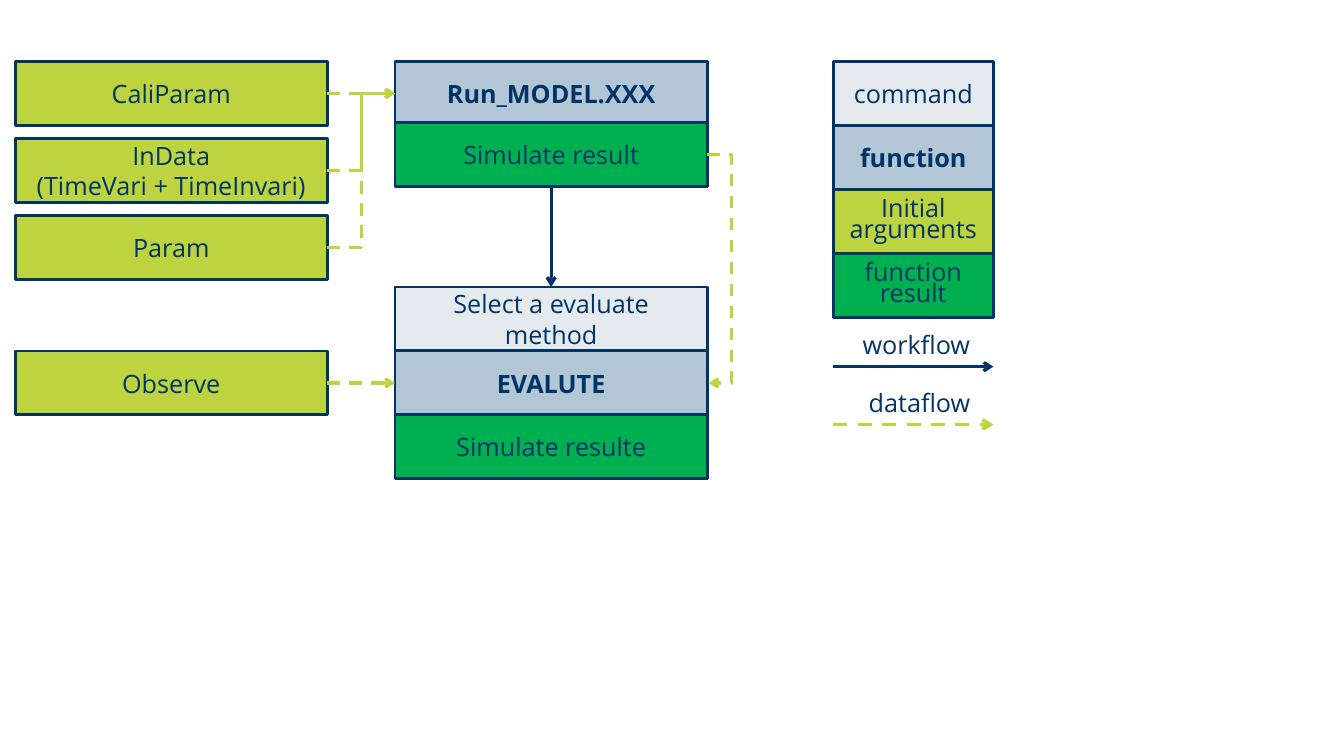
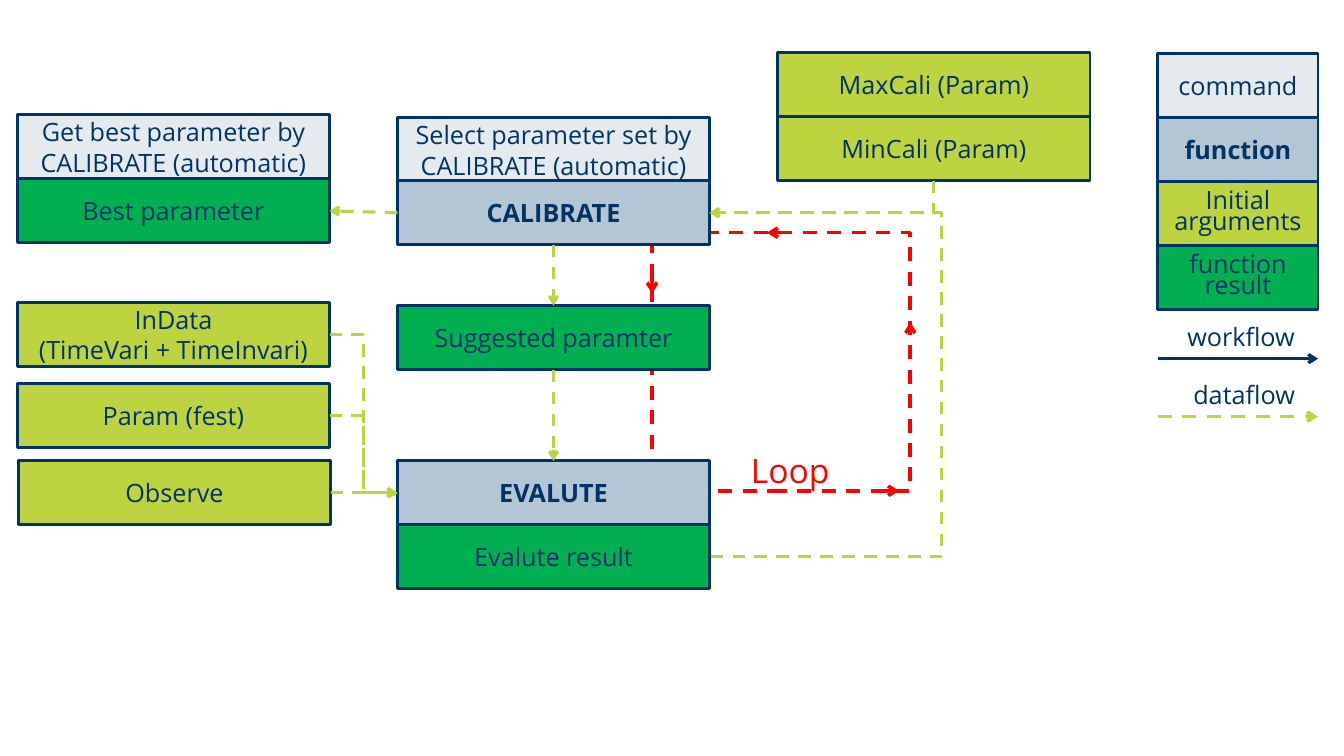
from lxml.etree import SubElement
from pptx import Presentation
from pptx.dml.color import RGBColor
from pptx.enum.dml import MSO_LINE
from pptx.enum.shapes import MSO_CONNECTOR, MSO_SHAPE
from pptx.enum.text import MSO_ANCHOR, PP_ALIGN
from pptx.oxml.ns import qn
from pptx.util import Pt

NAVY = RGBColor(0x00, 0x33, 0x66)
STEEL = RGBColor(0xB3, 0xC6, 0xD5)
LIME = RGBColor(0xBD, 0xD3, 0x40)
GREEN = RGBColor(0x00, 0xB0, 0x50)
RED = RGBColor(0xFF, 0x00, 0x00)

BOX_W, BOX_H = 223, 45.7
LEGEND_W = 114.4

# kind: fill, opacity in percent, bold
KINDS = {
    "command": (NAVY, 10, False),
    "function": (STEEL, 100, True),
    "argument": (LIME, 100, False),
    "result": (GREEN, 100, False),
}
# flow: colour, line width, dash
WORK = (NAVY, 2.25, None)
DATA = (LIME, 2.25, MSO_LINE.DASH)
DATA_KEY = (LIME, 2.5, MSO_LINE.DASH)
LOOP = (RED, 2.5, MSO_LINE.DASH)


def set_attrs(obj, values):
    """Set every attribute in a dict of format values."""
    for name, value in values.items():
        setattr(obj, name, value)


def write(sp, text, size=18, color=NAVY, bold=False, spacing=None,
          align=PP_ALIGN.CENTER, inset=None):
    """Write the lines of text, centred vertically, into a shape."""
    tf = sp.text_frame
    set_attrs(tf, {"word_wrap": True, "vertical_anchor": MSO_ANCHOR.MIDDLE})
    if inset is not None:
        set_attrs(tf, {f"margin_{side}": Pt(inset)
                       for side in ("left", "top", "right", "bottom")})
    for i, line in enumerate(text.split("\n")):
        p = tf.paragraphs[0] if i == 0 else tf.add_paragraph()
        set_attrs(p, {"alignment": align, "line_spacing": spacing})
        r = p.add_run()
        r.text = line
        set_attrs(r.font, {"name": "Open Sans", "size": Pt(size), "bold": bold})
        r.font.color.rgb = color


def style_line(line, color, width, dash):
    """Format an outline or a connector line."""
    line.color.rgb = color
    set_attrs(line, {"width": Pt(width), "dash_style": dash})


def label(s, x, y, w, h, text, **fmt):
    """Add a text box without insets."""
    write(s.shapes.add_textbox(Pt(x), Pt(y), Pt(w), Pt(h)), text, inset=0, **fmt)


def box(s, x, y, kind, text, w=BOX_W, spacing=None):
    """Add one box of the diagram in the style of its kind."""
    fill, opacity, bold = KINDS[kind]
    sp = s.shapes.add_shape(MSO_SHAPE.RECTANGLE, Pt(x), Pt(y), Pt(w), Pt(BOX_H))
    sp.shadow.inherit = False
    sp.fill.solid()
    sp.fill.fore_color.rgb = fill
    if opacity < 100:
        clr = sp.fill._xPr.find(qn("a:solidFill"))[0]
        SubElement(clr, qn("a:alpha"), val=str(opacity * 1000))
    style_line(sp.line, NAVY, 2, None)
    write(sp, text, bold=bold, spacing=spacing)
    return sp


def stack(s, x, y, rows, pitch=BOX_H):
    """Add boxes one under another and return them."""
    return [box(s, x, y + i * pitch, *row) for i, row in enumerate(rows)]


def at(sp, fx, fy):
    """Return the point at fractions of a shape's width and height."""
    return ((sp.left + fx * sp.width) / Pt(1), (sp.top + fy * sp.height) / Pt(1))


def left(sp):
    """Return the middle of the left edge."""
    return at(sp, 0, 0.5)


def right(sp):
    """Return the middle of the right edge."""
    return at(sp, 1, 0.5)


def arrow(s, start, end, style=DATA, via=None):
    """Draw an arrow, straight or bent at the x position via."""
    kind = MSO_CONNECTOR.STRAIGHT if via is None else MSO_CONNECTOR.ELBOW
    c = s.shapes.add_connector(kind, *(Pt(v) for v in (*start, *end)))
    style_line(c.line, *style)
    SubElement(c.line._get_or_add_ln(), qn("a:tailEnd"), type="arrow")
    spPr = c._element.spPr
    SubElement(spPr, qn("a:effectLst"))
    if via is not None:
        bend = round((via - start[0]) / (end[0] - start[0]) * 100000)
        guides = spPr.find(qn("a:prstGeom")).get_or_add_avLst()
        SubElement(guides, qn("a:gd"), name="adj1", fmla=f"val {bend}")


def merge(s, sources, target):
    """Lead several boxes on the left into one target box."""
    end = left(target)
    for sp in sources:
        start = right(sp)
        level = abs(start[1] - end[1]) < 1
        arrow(s, start, end, via=None if level else (start[0] + end[0]) / 2)


def legend(s, x, y):
    """Add the key to box kinds and arrows with its top left at x, y."""
    rows = [("command", "command", None), ("function", "function", None),
            ("argument", "Initial arguments", 0.7),
            ("result", "function result", 0.7)]
    for i, (kind, text, spacing) in enumerate(rows):
        box(s, x, y + i * BOX_H, kind, text, LEGEND_W, spacing)
    for i, (text, style) in enumerate([("workflow", WORK), ("dataflow", DATA_KEY)]):
        line_y = y + 218 + i * 41.4
        arrow(s, (x, line_y), (x + LEGEND_W, line_y), style)
        label(s, x + 2.2 * (i + 1), line_y - 27.8, LEGEND_W, 24.5, text)


def loop(s, x, y, size):
    """Add the dashed square of the loop with its arrowheads and name."""
    sp = s.shapes.add_shape(MSO_SHAPE.RECTANGLE, Pt(x), Pt(y), Pt(size), Pt(size))
    sp.shadow.inherit = False
    sp.fill.background()
    style_line(sp.line, *LOOP)
    end = x + size
    for start, tip in [((end - 22, y + size), (end - 8, y + size)),
                       ((end, y + 73), (end, y + 64)),
                       ((x + 92, y), (x + 82, y)),
                       ((x, y + 32), (x, y + 43.5))]:
        arrow(s, start, tip, LOOP)
    label(s, x + 70.6, y + 151.2, 77, 41.8, "Loop", size=24, color=RED,
          spacing=0.8, align=PP_ALIGN.LEFT)


def run_slide(s):
    """Build the diagram of running and evaluating a model."""
    x_in, x_mid, top = 10.8, 282.2, 43.9
    inputs = stack(s, x_in, top, [
        ("argument", "CaliParam"),
        ("argument", "InData\n(TimeVari + TimeInvari)"),
        ("argument", "Param")], pitch=55.1)
    run, simulated = stack(s, x_mid, top, [
        ("function", "Run_MODEL.XXX"), ("result", "Simulate result")], pitch=43.5)
    select, evaluate, _ = stack(s, x_mid, 205, [
        ("command", "Select a evaluate method"),
        ("function", "EVALUTE"), ("result", "Simulate resulte")])
    observe = box(s, x_in, 250.7, "argument", "Observe")
    merge(s, inputs[::-1], run)
    merge(s, [observe], evaluate)
    arrow(s, at(simulated, 0.5, 1), at(select, 0.5, 0), WORK)
    x, y = right(evaluate)
    arrow(s, right(simulated), (x + 1, y), via=x + 17.5)
    legend(s, 595.2, top)


def calibrate_slide(s):
    """Build the diagram of the calibration loop."""
    x_in, x_mid = 12.4, 283.9
    loop(s, 465.8, 166.2, 184.4)
    _, best = stack(s, x_in, 82.1, [
        ("command", "Get best parameter by CALIBRATE (automatic)"),
        ("result", "Best parameter")])
    inputs = [box(s, x, y, "argument", text) for x, y, text in [
        (x_in, 216, "InData\n(TimeVari + TimeInvari)"),
        (x_in, 274.2, "Param (fest)"), (x_in + 0.7, 329.2, "Observe")]]
    _, calibrate = stack(s, x_mid, 84.2, [
        ("command", "Select parameter set by CALIBRATE (automatic)"),
        ("function", "CALIBRATE")], pitch=44.9)
    suggested = box(s, x_mid, 218.4, "result", "Suggested paramter")
    evaluate, evaluated = stack(s, x_mid, 329.2, [
        ("function", "EVALUTE"), ("result", "Evalute result")])
    _, lowest = stack(s, 555.6, 37.6, [
        ("argument", "MaxCali (Param)"), ("argument", "MinCali (Param)")])
    merge(s, inputs, evaluate)
    x, y = right(calibrate)
    arrow(s, (x + 0.7, right(evaluated)[1]), (x, y), via=670.4)
    start = at(lowest, 0.5, 1)
    arrow(s, start, (x, y), via=start[0])
    arrow(s, at(calibrate, 0.5, 1), at(suggested, 0.5, 0))
    arrow(s, at(suggested, 0.5, 1), at(evaluate, 0.5, 0))
    arrow(s, left(calibrate), right(best))
    legend(s, 827.1, 38.2)


prs = Presentation()
set_attrs(prs, {"slide_width": Pt(960), "slide_height": Pt(540)})
for build in (run_slide, calibrate_slide):
    build(prs.slides.add_slide(prs.slide_layouts[6]))
prs.save("out.pptx")
